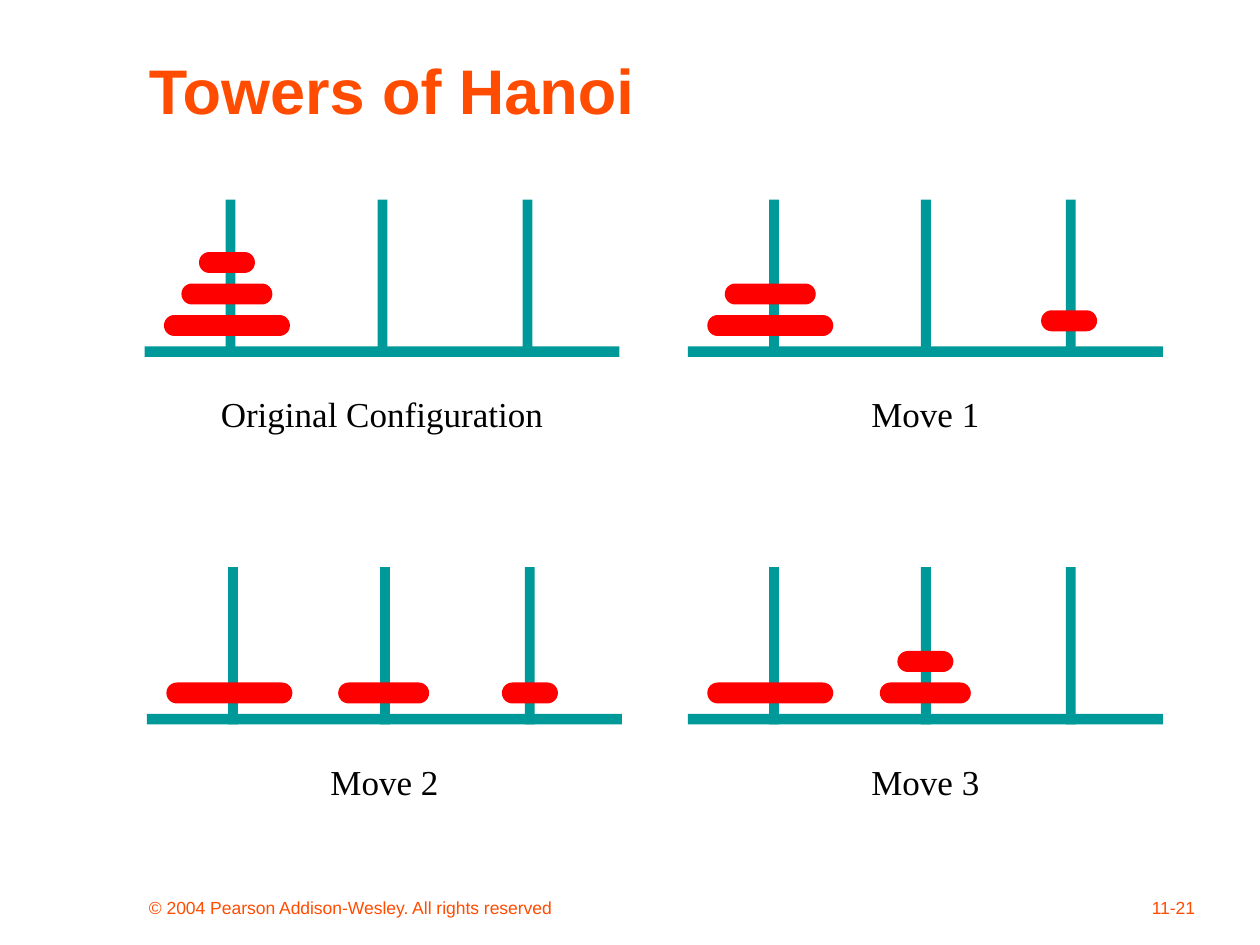
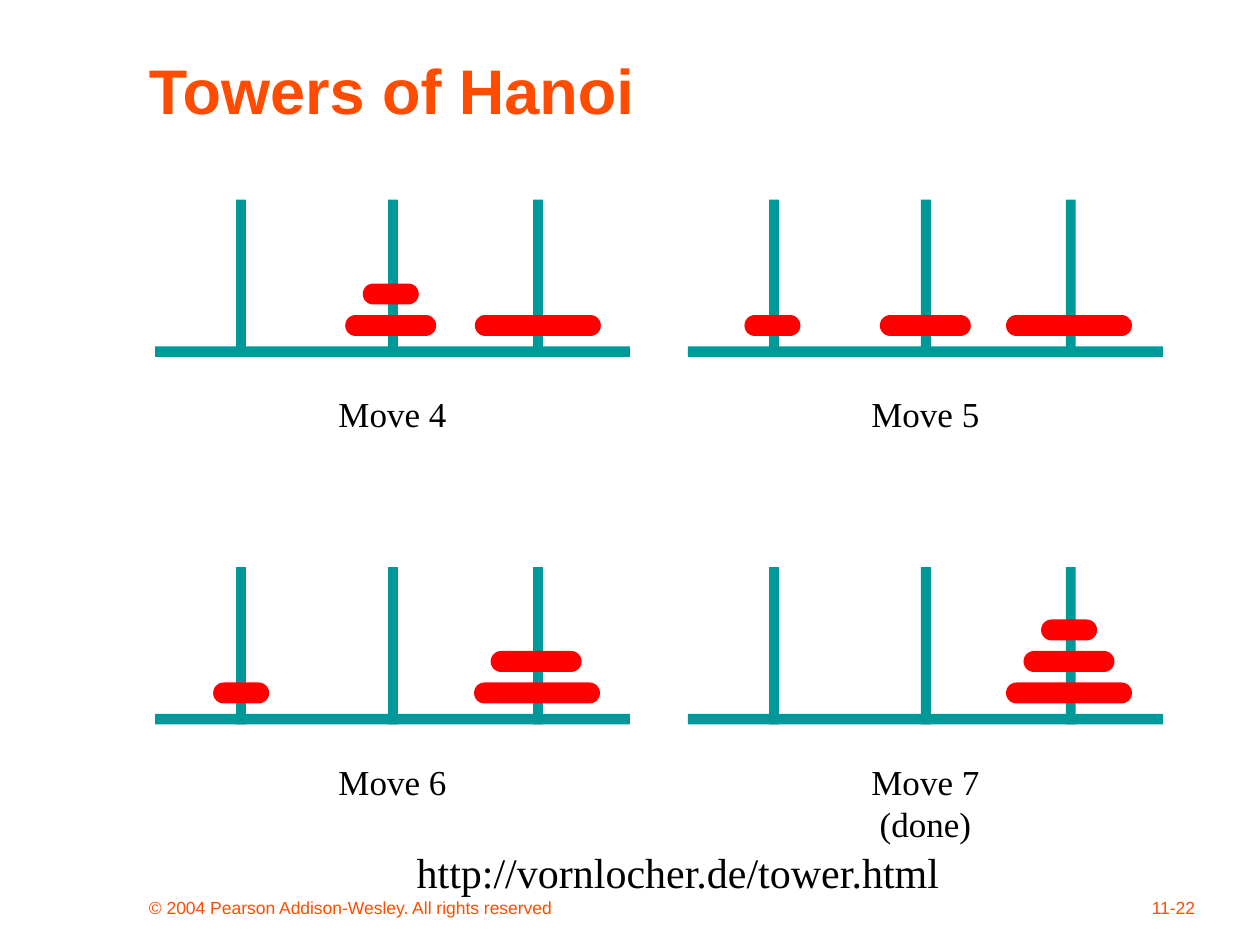
from pptx import Presentation
from pptx.dml.color import RGBColor
from pptx.enum.shapes import MSO_SHAPE
from pptx.enum.text import MSO_ANCHOR, PP_ALIGN
from pptx.util import Pt

RECT, ROUND = MSO_SHAPE.RECTANGLE, MSO_SHAPE.ROUNDED_RECTANGLE
TOP, MIDDLE, BOTTOM = MSO_ANCHOR.TOP, MSO_ANCHOR.MIDDLE, MSO_ANCHOR.BOTTOM
LEFT, CENTER, RIGHT = PP_ALIGN.LEFT, PP_ALIGN.CENTER, PP_ALIGN.RIGHT
ORANGE, TEAL, RED, BLACK = "FF4C00", "009999", "FF0000", "000000"
SANS, SERIF = "Arial", "Times New Roman"

BASE_W, BASE_H = 271.4, 6
POLE_W, POLE_H = 5.6, 90
POLE_CENTERS = (49.2, 136, 218.8)
DISK_H, DISK_STEP, FLOOR = 12, 18, 66
LARGE, MEDIUM, SMALL = 72, 52, 32
ROW_1, ROW_2 = 114, 324
COL_2 = 393.1


def add_text(s, text, x, y, w, h, size=20, font=SERIF, color=BLACK,
             bold=False, align=LEFT, anchor=TOP, wrap=True):
    tf = s.shapes.add_textbox(Pt(x), Pt(y), Pt(w), Pt(h)).text_frame
    tf.word_wrap = wrap
    tf.vertical_anchor = anchor
    p = tf.paragraphs[0]
    p.alignment = align
    r = p.add_run()
    r.text = text
    r.font.size = Pt(size)
    r.font.name = font
    r.font.bold = bold
    r.font.color.rgb = RGBColor.from_string(color)


def add_block(s, kind, x, y, w, h, color):
    sp = s.shapes.add_shape(kind, Pt(x), Pt(y), Pt(w), Pt(h))
    sp.shadow.inherit = False
    sp.fill.solid()
    sp.fill.fore_color.rgb = RGBColor.from_string(color)
    sp.line.fill.background()
    if kind == ROUND:
        sp.adjustments[0] = 0.5


# Each panel: label, label width, left, top, disks as (width, center, level)
slides = [
    ("11-21", [
        ("Original Configuration", 198.7, 82.6, ROW_1,
         [(LARGE, 47.1, 0), (MEDIUM, 47.1, 1), (SMALL, 47.1, 2)]),
        ("Move 1", 76.3, COL_2, ROW_1,
         [(LARGE, 47.1, 0), (MEDIUM, 47.1, 1), (SMALL, 217.8, 0.15)]),
        ("Move 2", 76.3, 84, ROW_2,
         [(LARGE, 47.1, 0), (MEDIUM, 135.3, 0), (SMALL, 218.8, 0)]),
        ("Move 3", 76.3, COL_2, ROW_2,
         [(LARGE, 47.1, 0), (MEDIUM, 135.7, 0), (SMALL, 135.7, 1)]),
    ]),
    ("11-22", [
        ("Move 4", 76.3, 88.6, ROW_1,
         [(LARGE, 218.8, 0), (MEDIUM, 134.7, 0), (SMALL, 134.7, 1)]),
        ("Move 5", 76.3, COL_2, ROW_1,
         [(LARGE, 217.8, 0), (MEDIUM, 135.7, 0), (SMALL, 48.3, 0)]),
        ("Move 6", 76.3, 88.6, ROW_2,
         [(LARGE, 218.3, 0), (MEDIUM, 217.8, 1), (SMALL, 49.2, 0)]),
        ("Move 7 (done)", 133.2, COL_2, ROW_2,
         [(LARGE, 217.8, 0), (MEDIUM, 217.8, 1), (SMALL, 217.8, 2)]),
    ]),
]

prs = Presentation()
prs.slide_width, prs.slide_height = Pt(720), Pt(540)

for number, panels in slides:
    s = prs.slides.add_slide(prs.slide_layouts[6])
    footer = dict(size=10, font=SANS, color=ORANGE, anchor=BOTTOM)
    add_text(s, "© 2004 Pearson Addison-Wesley. All rights reserved",
             78, 498, 276, 30, **footer)
    add_text(s, number, 540, 498, 150, 30, align=RIGHT, **footer)
    add_text(s, "Towers of Hanoi", 78, 24, 624, 54, size=36, font=SANS,
             color=ORANGE, bold=True, anchor=MIDDLE)
    for label, label_w, left, top, disks in panels:
        add_block(s, RECT, left, top + POLE_H - BASE_H, BASE_W, BASE_H, TEAL)
        for center in POLE_CENTERS:
            add_block(s, RECT, left + center - POLE_W / 2, top, POLE_W, POLE_H, TEAL)
        for width, center, level in disks:
            add_block(s, ROUND, left + center - width / 2,
                      top + FLOOR - level * DISK_STEP, width, DISK_H, RED)
        add_text(s, label, left + (BASE_W - label_w) / 2, top + 106.8,
                 label_w, 31.5, align=CENTER, wrap=False)

add_text(s, "http://vornlocher.de/tower.html", 231, 480, 322, 36, size=24, wrap=False)

prs.save("out.pptx")
